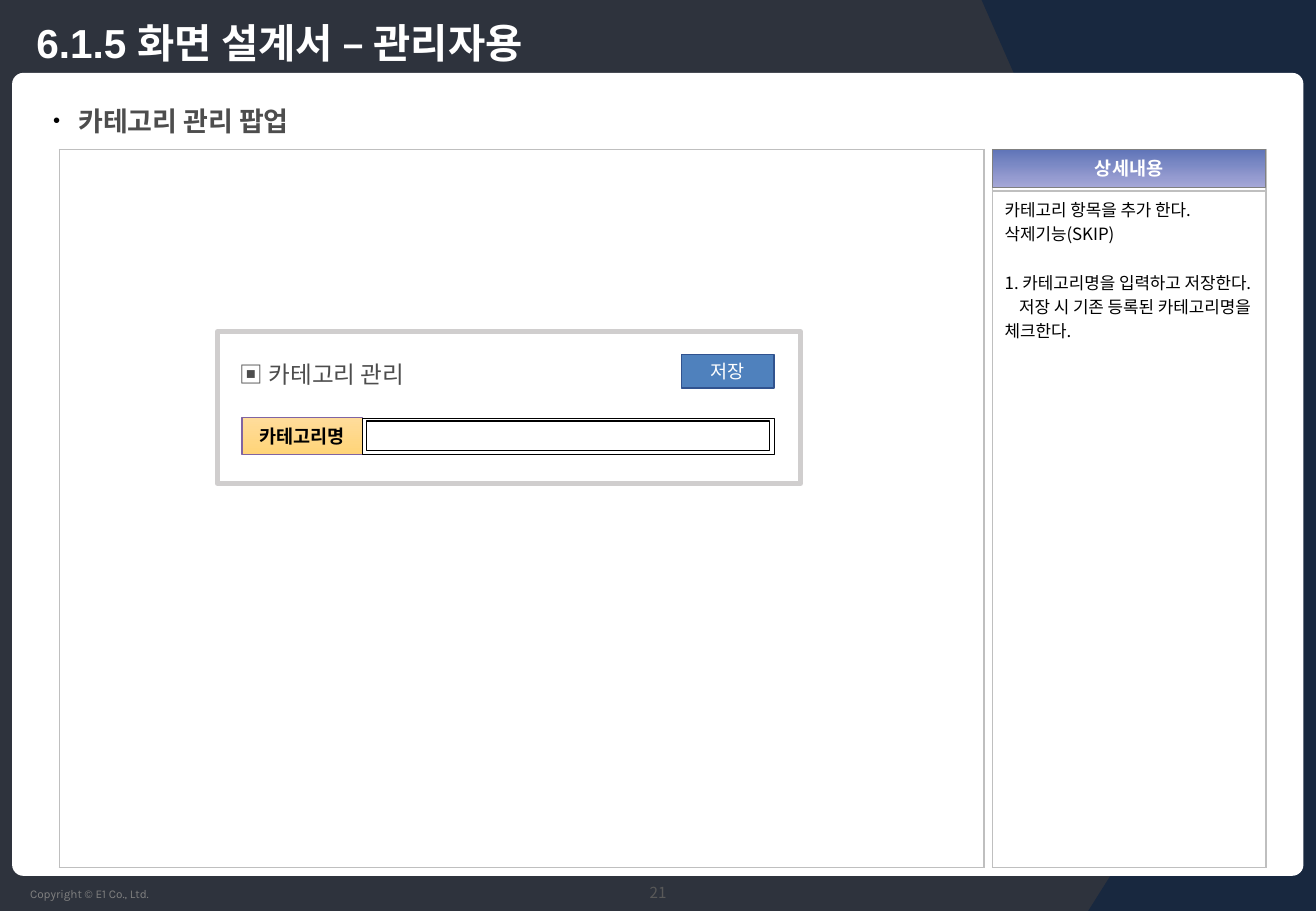
import pptx
import pptx.util
import pptx.dml.color
import pptx.enum.shapes
import pptx.enum.text
import pptx.oxml
import pptx.oxml.ns

Pt = pptx.util.Pt
SHAPE = pptx.enum.shapes.MSO_SHAPE
ALIGN = pptx.enum.text.PP_ALIGN
ANCHOR = pptx.enum.text.MSO_ANCHOR
NAMESPACE = pptx.oxml.ns.nsdecls("a")

KOREAN = "Noto Sans CJK KR"
COLORS = {
    "slate": "2E333D", "navy": "18283F", "white": "FFFFFF", "black": "000000",
    "heading": "4D4D4D", "page number": "595959", "gray": "808080",
    "grid": "BFBFBF", "popup": "D0CECE", "button": "4F81BD", "button edge": "31538F",
    "header top": "6075B8", "header bottom": "A5A7D7",
    "label top": "FFDC9B", "label bottom": "FFD478", "label edge": "8064A2",
}


def rgb(name):
    return pptx.dml.color.RGBColor.from_string(COLORS[name])


def add_box(page, place, fill=None, line=None, width=0.75, kind=SHAPE.RECTANGLE):
    """Fill is a colour name, a (top, bottom) pair for a gradient, or None."""
    box = page.shapes.add_shape(kind, *map(Pt, place))
    box.shadow.inherit = False
    if fill is None:
        box.fill.background()
    elif isinstance(fill, tuple):
        box.fill.gradient()
        box.fill.gradient_angle = 270
        for stop, name in zip(box.fill.gradient_stops, fill):
            stop.color.rgb = rgb(name)
    else:
        box.fill.solid()
        box.fill.fore_color.rgb = rgb(fill)
    if line is None:
        box.line.fill.background()
    else:
        box.line.color.rgb = rgb(line)
        box.line.width = Pt(width)
    return box


def format_text(para, size, color, bold=False, font=KOREAN):
    for span in para.runs:
        span.font.size = Pt(size)
        span.font.bold = bold
        span.font.name = font
        span.font.color.rgb = rgb(color)
        east = pptx.oxml.parse_xml(f'<a:ea {NAMESPACE} typeface="{KOREAN}"/>')
        latin = span.font._element.find(pptx.oxml.ns.qn("a:latin"))
        latin.addnext(east)


def write(box, text, size, color, bold=False, font=KOREAN, align=ALIGN.CENTER,
          anchor=ANCHOR.MIDDLE, wrap=True):
    frame = box.text_frame
    frame.text = text
    frame.word_wrap = wrap
    frame.vertical_anchor = anchor
    para = frame.paragraphs[0]
    para.alignment = align
    format_text(para, size, color, bold, font)
    return para


def add_label(page, place, *text, **style):
    return write(page.shapes.add_textbox(*map(Pt, place)), *text, **style)


def add_grid(page, place, heights):
    """One-column table with thin gray borders and no fill."""
    left, top, width = place
    frame = page.shapes.add_table(len(heights), 1, Pt(left), Pt(top), Pt(width), Pt(sum(heights)))
    table = frame.table
    table.first_row = table.horz_banding = False
    for row, height in zip(table.rows, heights):
        row.height = Pt(height)
        cell = row.cells[0]
        cell.fill.background()
        cell.text_frame.paragraphs[0]._p.get_or_add_endParaRPr().set("sz", "1000")
        for index, side in enumerate("LRTB"):
            border = pptx.oxml.parse_xml(
                f'<a:ln{side} {NAMESPACE} w="12700"><a:solidFill>'
                f'<a:srgbClr val="{COLORS["grid"]}"/></a:solidFill></a:ln{side}>')
            cell._tc.get_or_add_tcPr().insert(index, border)
    return table


def draw_backdrop(page, width, height):
    add_box(page, (0, 0, width, height), "slate")
    upper = add_box(page, (581.8, 0, 198, 450), "navy", kind=SHAPE.RIGHT_TRIANGLE)
    upper.rotation = 180
    add_label(page, (10.8, 522, 92, 16), "Copyright © E1 Co., Ltd.", 7, "gray", font="Karla",
              align=ALIGN.LEFT, anchor=ANCHOR.TOP, wrap=False)
    add_box(page, (712, 0, width - 712, height), "navy")
    lower = add_box(page, (645, 327, 134.5, 213), "navy", kind=SHAPE.RIGHT_TRIANGLE)
    lower._element.spPr.find(pptx.oxml.ns.qn("a:xfrm")).set("flipH", "1")
    card = add_box(page, (7.2, 43.2, 765.4, 476), "white", kind=SHAPE.ROUNDED_RECTANGLE)
    card.adjustments[0] = 0.014
    add_label(page, (342, 519, 96, 20), "21", 9, "page number")


def draw_headings(page, left, top):
    # Slide title, moved in front of the backdrop
    title = page.shapes.title
    page.shapes._spTree.append(title._element)
    title.left, title.top, title.width, title.height = map(Pt, (left, top, 688, 45.4))
    write(title, "6.1.5 화면 설계서 – 관리자용", 24, "white", bold=True, font="Arial", align=ALIGN.LEFT)

    # Bulleted subtitle
    para = add_label(page, (left + 10, top + 57.6, 406, 25), "카테고리 관리 팝업", 16, "heading",
                     bold=True, font="Arial", align=ALIGN.LEFT, anchor=ANCHOR.TOP)
    para.line_spacing = Pt(18)
    properties = para._p.get_or_add_pPr()
    properties.set("marL", str(Pt(15)))
    properties.set("indent", str(Pt(-15)))
    for element in (f'<a:buClr {NAMESPACE}><a:srgbClr val="{COLORS["black"]}"/></a:buClr>',
                    f'<a:buSzPct {NAMESPACE} val="75000"/>',
                    f'<a:buFont {NAMESPACE} typeface="Arial"/>',
                    f'<a:buChar {NAMESPACE} char="•"/>'):
        properties.append(pptx.oxml.parse_xml(element))


def draw_popup(page, left, top):
    add_box(page, (left, top, 345.6, 90), line="popup", width=3)
    para = add_label(page, (left + 6, top + 12, 165, 24), "▣ 카테고리 관리", 14, "heading",
                     align=ALIGN.LEFT, anchor=ANCHOR.TOP)
    para.line_spacing = Pt(18)

    # Category name label and its input field
    field_top = top + 51
    label = add_box(page, (left + 14.5, field_top, 71.5, 21.8),
                    ("label top", "label bottom"), "label edge")
    write(label, "카테고리명", 11, "black", bold=True)
    add_box(page, (left + 86, field_top, 244, 21.8), line="black", width=0.25)
    add_box(page, (left + 88.4, field_top + 2, 238.6, 17.5), "white", "black")

    # Save button
    button = add_box(page, (left + 275, top + 13.6, 54.7, 20), "button", "button edge", 1)
    write(button, "저장", 11, "white")


def draw_details(page, left, top, width):
    table = add_grid(page, (left, top, width), (24.5, 401))
    frame = table.cell(1, 0).text_frame
    frame.text = "\n".join(("카테고리 항목을 추가 한다.", "삭제기능(SKIP)",
                            "1. 카테고리명을 입력하고 저장한다.",
                            "저장 시 기존 등록된 카테고리명을 체크한다."))
    for para in frame.paragraphs:
        format_text(para, 10, "black")
    frame.paragraphs[2].space_before = Pt(14.4)
    frame.paragraphs[3]._p.get_or_add_pPr().set("indent", str(Pt(8.5)))

    header = add_box(page, (left, top, width, 22.4), ("header top", "header bottom"), "gray")
    write(header, "상세내용", 11, "white", bold=True, wrap=False)


def main():
    deck = pptx.Presentation()
    deck.slide_width, deck.slide_height = Pt(780), Pt(540)
    page = deck.slides.add_slide(deck.slide_layouts[5])
    draw_backdrop(page, 780, 540)
    draw_headings(page, 14.4, 2.2)
    add_grid(page, (35.2, 88.6, 548), (425.5,))
    draw_details(page, 588.3, 88.6, 162)
    draw_popup(page, 128.9, 196.6)
    deck.save("out.pptx")


if __name__ == "__main__":
    main()
